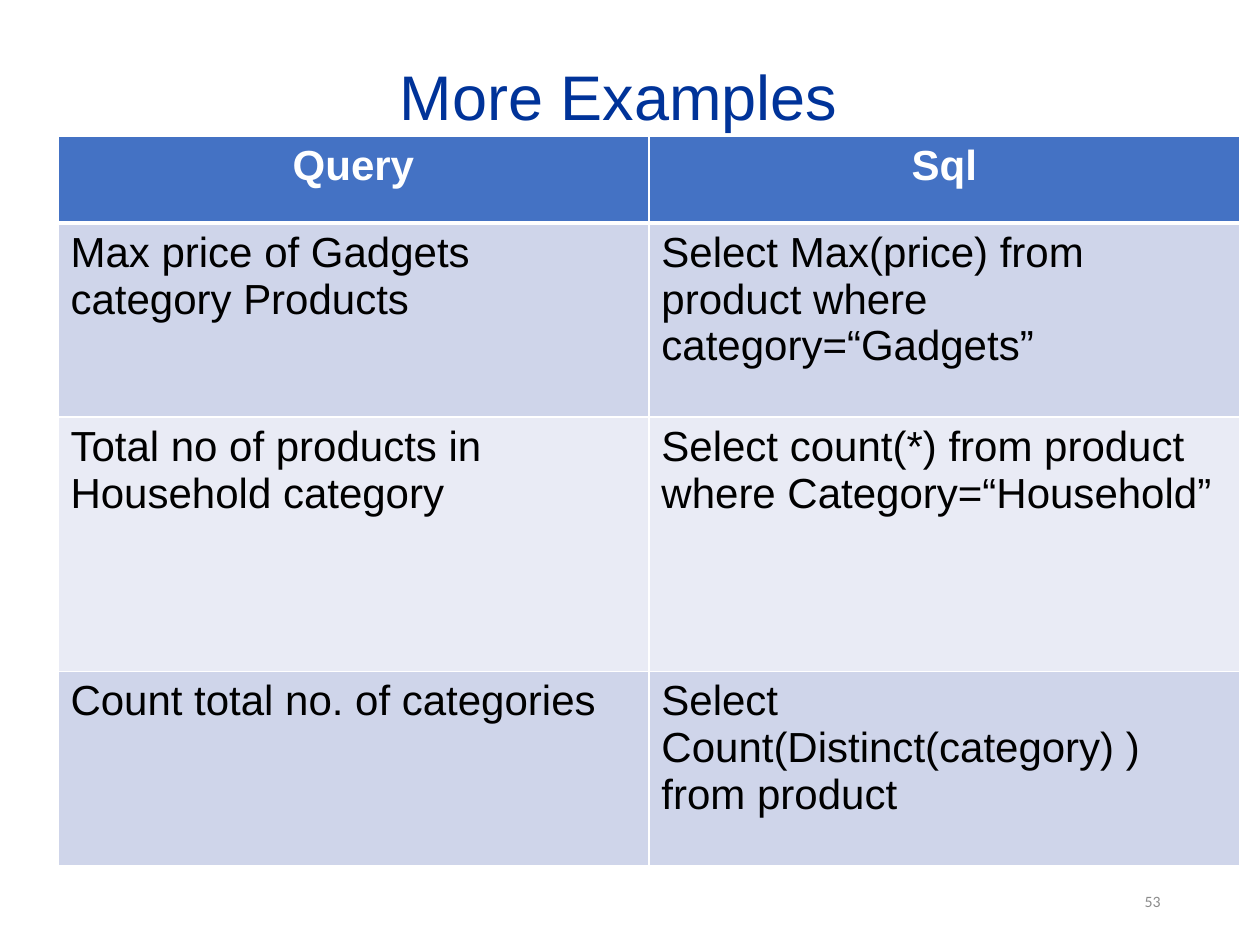
"""Build the "More Examples" slide: a table pairing queries with their SQL."""
import dataclasses
import typing

import lxml.etree
import pptx
import pptx.dml.color
import pptx.enum.text
import pptx.oxml.ns
import pptx.util

ALIGN = pptx.enum.text.PP_ALIGN
ANCHOR = pptx.enum.text.MSO_ANCHOR


@dataclasses.dataclass(frozen=True)
class Theme:
    title: str = "003399"
    header: str = "4472C4"
    bands: tuple[str, str] = ("CFD5EA", "E9EBF5")
    white: str = "FFFFFF"
    black: str = "000000"
    gray: str = "8C8C8C"
    title_size: int = 36
    body_size: int = 24
    number_size: int = 9
    font: str = "Arial"
    number_font: str = "Calibri"
    rule: int = 1
    header_rule: int = 3


@dataclasses.dataclass(frozen=True)
class Box:
    left: float
    top: float
    width: float
    height: float

    def emu(self) -> list[int]:
        return [pptx.util.Inches(v) for v in dataclasses.astuple(self)]


@dataclasses.dataclass(frozen=True)
class Label:
    text: str
    box: Box
    size: int
    font: str
    color: str
    align: typing.Any
    spacing: float = 1.0


class Row(typing.NamedTuple):
    query: str
    sql: str
    height: float


THEME = Theme()
TABLE = Box(0.46, 1.08, 9.38, 5.8)
ROWS = [
    Row("Query", "Sql", 0.69),
    Row("Max price of Gadgets category Products",
        "Select Max(price) from product where category=“Gadgets”", 1.54),
    Row("Total no of products in Household category",
        "Select count(*) from product where Category=“Household”", 2.02),
    Row("Count total no. of categories",
        "Select Count(Distinct(category) ) from product", 1.54),
]
LABELS = [
    Label("More Examples", Box(0.66, 0.17, 8.5, 1.25), THEME.title_size,
          THEME.font, THEME.title, ALIGN.CENTER, 0.9),
    Label("53", Box(7.06, 6.95, 2.25, 0.4), THEME.number_size,
          THEME.number_font, THEME.gray, ALIGN.RIGHT),
]


def write(tf: typing.Any, text: str, color: str, align: typing.Any,
          **font: typing.Any) -> typing.Any:
    """Fill a text frame with one formatted run and return its paragraph."""
    p = tf.paragraphs[0]
    p.alignment = align
    r = p.add_run()
    r.text = text
    for name, value in font.items():
        setattr(r.font, name, value)
    r.font.color.rgb = pptx.dml.color.RGBColor.from_string(color)
    return p


def add_label(s: typing.Any, label: Label) -> None:
    """Add a vertically centred text box."""
    tf = s.shapes.add_textbox(*label.box.emu()).text_frame
    for name, value in {"word_wrap": True, "vertical_anchor": ANCHOR.MIDDLE}.items():
        setattr(tf, name, value)
    p = write(tf, label.text, label.color, label.align,
              size=pptx.util.Pt(label.size), name=label.font)
    p.line_spacing = label.spacing


def set_borders(cell: typing.Any, widths: dict[str, int]) -> None:
    """Draw solid white cell borders, given widths in points by side."""
    qn = pptx.oxml.ns.qn
    tc_pr = cell._tc.get_or_add_tcPr()
    for i, (side, width) in enumerate(widths.items()):
        ln = lxml.etree.Element(qn(f"a:ln{side}"), w=str(pptx.util.Pt(width)))
        fill = lxml.etree.SubElement(ln, qn("a:solidFill"))
        lxml.etree.SubElement(fill, qn("a:srgbClr"), val=THEME.white)
        tc_pr.insert(i, ln)


def add_query_table(s: typing.Any, rows: list[Row], box: Box) -> None:
    """Add the banded table with equal columns and a header row."""
    table = s.shapes.add_table(len(rows), 2, *box.emu()).table
    for i, row in enumerate(rows):
        table.rows[i].height = pptx.util.Inches(row.height)
        head = i == 0
        fill = THEME.header if head else THEME.bands[(i - 1) % 2]
        widths = dict.fromkeys("LRTB", THEME.rule)
        if i < 2:
            widths["B" if head else "T"] = THEME.header_rule
        for j, text in enumerate((row.query, row.sql)):
            cell = table.cell(i, j)
            cell.fill.solid()
            cell.fill.fore_color.rgb = pptx.dml.color.RGBColor.from_string(fill)
            set_borders(cell, widths)
            write(cell.text_frame, text, THEME.white if head else THEME.black,
                  ALIGN.CENTER if head else ALIGN.LEFT, bold=head,
                  size=pptx.util.Pt(THEME.body_size), name=THEME.font)


def main() -> None:
    """Build and save the slide."""
    prs = pptx.Presentation()
    size = {"slide_width": 10, "slide_height": 7.5}
    for name, value in size.items():
        setattr(prs, name, pptx.util.Inches(value))
    s = prs.slides.add_slide(prs.slide_layouts[6])
    title, number = LABELS
    add_label(s, title)
    add_query_table(s, ROWS, TABLE)
    add_label(s, number)
    prs.save("out.pptx")


if __name__ == "__main__":
    main()
